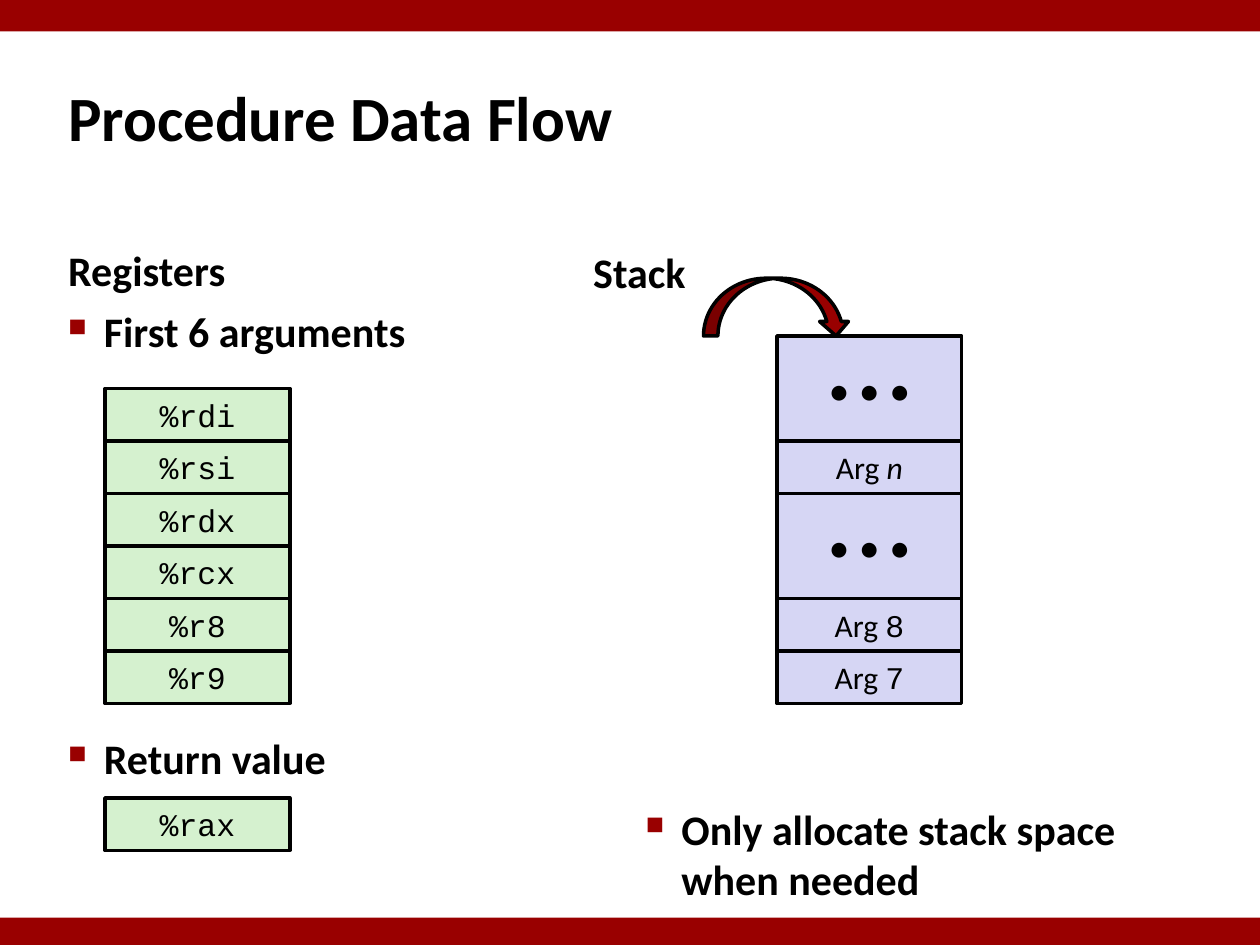
from dataclasses import dataclass

from lxml import etree
from pptx import Presentation
from pptx.dml.color import RGBColor
from pptx.enum.shapes import MSO_SHAPE
from pptx.enum.text import MSO_ANCHOR, MSO_AUTO_SIZE, PP_ALIGN
from pptx.oxml.ns import qn
from pptx.util import Pt

RECT = MSO_SHAPE.RECTANGLE
ARROW = MSO_SHAPE.CURVED_DOWN_ARROW
TOP, MIDDLE, BOTTOM = MSO_ANCHOR.TOP, MSO_ANCHOR.MIDDLE, MSO_ANCHOR.BOTTOM
LEFT, CENTER = PP_ALIGN.LEFT, PP_ALIGN.CENTER
FIXED = MSO_AUTO_SIZE.NONE

PX = 7620
WIDE, HIGH = 1200, 900
CELL, ROW = 176, 50
DOTS = "• • •"


@dataclass(frozen=True)
class Theme:
    ink: str = "000000"
    red: str = "990000"
    green: str = "D5F1CF"
    lilac: str = "D6D6F4"
    sans: str = "Calibri"
    mono: str = "Courier New"
    title: int = 36
    body: int = 24
    cell: int = 18
    line: int = 2
    inset: int = 5


THEME = Theme()


def scale(*box):
    return [n * PX for n in box]


def color(code):
    return RGBColor.from_string(code)


def add_bullet(para):
    props = para._p.get_or_add_pPr()
    props.set("marL", str(34 * PX))
    props.set("indent", str(-34 * PX))
    tint = etree.SubElement(props, qn("a:buClr"))
    etree.SubElement(tint, qn("a:srgbClr"), val=THEME.red)
    etree.SubElement(props, qn("a:buSzPct"), val="60000")
    etree.SubElement(props, qn("a:buChar"), char="■")


def write(shape, *paras, size=THEME.body, font=THEME.sans, bold=False,
          align=LEFT, anchor=TOP, bullet=False, gap=0, inset=THEME.inset):
    frame = shape.text_frame
    frame.word_wrap = True
    frame.auto_size = FIXED
    frame.vertical_anchor = anchor
    frame.margin_left = frame.margin_right = inset * PX
    frame.margin_top = frame.margin_bottom = inset * PX
    for i, runs in enumerate(paras):
        para = frame.add_paragraph() if i else frame.paragraphs[0]
        if bullet:
            add_bullet(para)
        para.alignment = align
        para.space_before = Pt(gap if i else 0)
        for item in [runs] if isinstance(runs, str) else runs:
            text, face, slant = (item, font, False) if isinstance(item, str) else item
            run = para.add_run()
            run.text = text
            run.font.name = face
            run.font.size = Pt(size)
            run.font.bold = bold
            run.font.italic = slant
            run.font.color.rgb = color(THEME.ink)


def add_shape(shapes, kind, box, fill, line=True):
    shape = shapes.add_shape(kind, *scale(*box))
    shape.shadow.inherit = False
    shape.fill.solid()
    shape.fill.fore_color.rgb = color(fill)
    if line:
        shape.line.color.rgb = color(THEME.ink)
        shape.line.width = Pt(THEME.line)
    else:
        shape.line.fill.background()
    return shape


def add_title(slide, text):
    title = slide.shapes.title
    title.left, title.top, title.width, title.height = scale(60, 36, 1080, 150)
    write(title, text, size=THEME.title, bold=True, anchor=MIDDLE)


def add_text(slide, box, *paras, **style):
    write(slide.shapes.add_textbox(*scale(*box)), *paras, bold=True, **style)


def add_cell(shapes, left, top, text, fill, rows=1, **style):
    cell = add_shape(shapes, RECT, (left, top, CELL, rows * ROW), fill)
    write(cell, text, align=CENTER, anchor=MIDDLE, **style)


def add_regs(slide, top, *names):
    for i, name in enumerate(names):
        add_cell(slide.shapes, 100, top + i * ROW, name, THEME.green,
                 size=THEME.cell, font=THEME.mono)


def add_stack(slide, left, top):
    shapes = slide.shapes.add_group_shape().shapes
    args = [("n", THEME.sans, True), None, ("8", THEME.mono, False),
            ("7", THEME.mono, False)]
    for arg in [None, *args]:
        if arg:
            rows = 1
            add_cell(shapes, left, top, ["Arg ", arg], THEME.lilac, size=THEME.cell)
        else:
            rows = 2
            add_cell(shapes, left, top, DOTS, THEME.lilac, rows=rows, inset=0)
        top += rows * ROW


def main():
    deck = Presentation()
    deck.slide_width, deck.slide_height = scale(WIDE, HIGH)
    slide = deck.slides.add_slide(deck.slide_layouts[5])

    for top, tall in [(0, 30), (874, 26)]:
        add_shape(slide.shapes, RECT, (0, top, WIDE, tall), THEME.red, line=False)
    add_title(slide, "Procedure Data Flow")

    add_text(slide, (60, 202, 530, 84), "Registers", anchor=BOTTOM)
    add_text(slide, (60, 286, 530, 518), "First 6 arguments", "Return value",
             bullet=True, gap=215)
    add_regs(slide, 370, "%rdi", "%rsi", "%rdx", "%rcx", "%r8", "%r9")
    add_regs(slide, 760, "%rax")

    add_text(slide, (560, 204, 600, 84), "Stack", anchor=BOTTOM)
    add_stack(slide, 740, 320)
    add_shape(slide.shapes, ARROW, (670, 265, 140, 55), THEME.red)
    add_text(slide, (610, 760, 530, 104), "Only allocate stack space when needed",
             bullet=True)

    deck.save("out.pptx")


if __name__ == "__main__":
    main()
